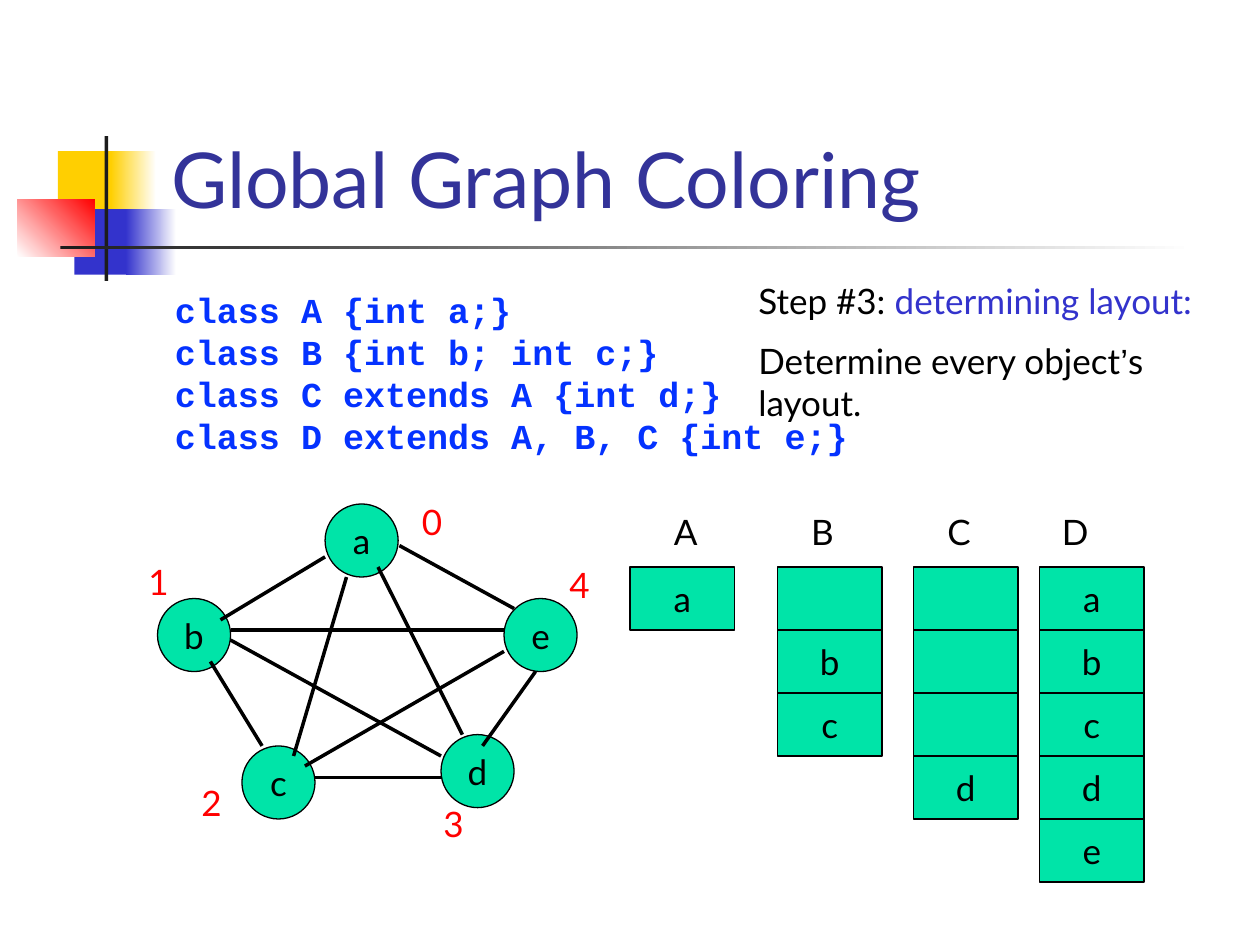
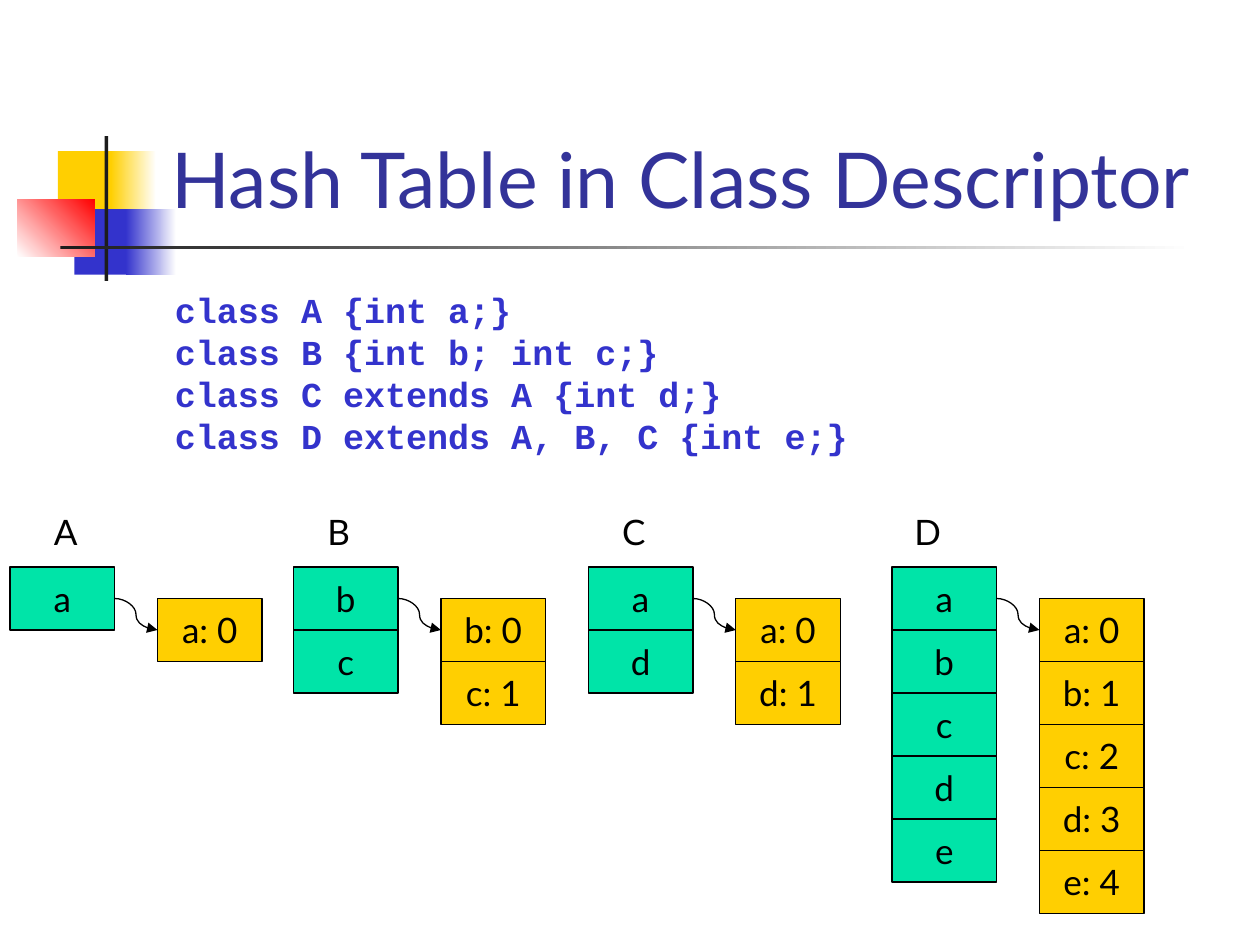
from lxml.etree import SubElement as sub
from pptx import Presentation
from pptx.dml.color import RGBColor as RGB
from pptx.enum.shapes import MSO_CONNECTOR as LINK, MSO_SHAPE as SHAPE
from pptx.enum.text import MSO_ANCHOR as ANCHOR, PP_ALIGN as ALIGN
from pptx.oxml.ns import qn
from pptx.util import Inches, Pt

BLACK = RGB(0, 0, 0)
WHITE = RGB(255, 255, 255)
DARK = RGB(0x1C, 0x1C, 0x1C)
RED = RGB(255, 0, 0)
GOLD = RGB(0xFF, 0xCF, 0x01)
GREEN = RGB(0x00, 0xE4, 0xA8)
BLUE = RGB(0x33, 0x33, 0xCC)
NAVY = RGB(0x33, 0x33, 0x99)
BRIGHT = RGB(0x04, 0x32, 0xFF)

FONT, MONO = "Lato", "Courier New"
CELL_W, CELL_H = 0.83, 0.5
NODE = 0.58
CODE = """class A {int a;}
class B {int b; int c;}
class C extends A {int d;}
class D extends A, B, C {int e;}"""


# Basic parts
def style(run, color=BLACK, size=20, font=FONT, bold=False):
    run.font.name = font
    run.font.size = Pt(size)
    run.font.bold = bold
    run.font.color.rgb = color


def add_text(slide, box, text, **look):
    frame = slide.shapes.add_textbox(*map(Inches, box)).text_frame
    frame.word_wrap = True
    frame.text = text
    for par in frame.paragraphs:
        for run in par.runs:
            style(run, **look)
    return frame


def add_shape(slide, kind, box, fill, text="", line=True):
    shape = slide.shapes.add_shape(kind, *map(Inches, box))
    shape.shadow.inherit = False
    shape.fill.solid()
    shape.fill.fore_color.rgb = fill
    if line:
        shape.line.color.rgb = BLACK
        shape.line.width = Pt(0.75)
    else:
        shape.line.fill.background()
    if text:
        frame = shape.text_frame
        frame.word_wrap = False
        frame.vertical_anchor = ANCHOR.MIDDLE
        frame.text = text
        frame.paragraphs[0].alignment = ALIGN.CENTER
        style(frame.paragraphs[0].runs[0])
    return shape


def add_line(slide, start, end, width, kind=LINK.STRAIGHT, arrow=False):
    line = slide.shapes.add_connector(kind, *map(Inches, start + end))
    line.line.color.rgb = BLACK
    line.line.width = Pt(width)
    if arrow:
        sub(line.line._get_or_add_ln(), qn("a:tailEnd"), type="triangle")
    sub(line._element.spPr, qn("a:effectLst"))


# Shared frame of both slides
def add_decor(slide):
    # box, first colour, last colour, angle
    bands = [
        ((0.46, 1.2, 0.48, 0.52), GOLD, None, 0),
        ((0.88, 1.2, 0.36, 0.52), GOLD, WHITE, 0),
        ((0.59, 1.66, 0.46, 0.52), BLUE, None, 0),
        ((1, 1.66, 0.4, 0.52), BLUE, WHITE, 0),
        ((0.14, 1.58, 0.61, 0.46), WHITE, RED, 45),
        ((0.83, 1.08, 0.03, 1.15), DARK, None, 0),
        ((0.48, 1.95, 9, 0.03), DARK, WHITE, 0),
    ]
    for box, first, last, angle in bands:
        band = add_shape(slide, SHAPE.RECTANGLE, box, first, line=False)
        if last is not None:
            band.fill.gradient()
            band.fill.gradient_angle = angle
            for stop, color in zip(band.fill.gradient_stops, (first, last)):
                stop.color.rgb = color


def add_page(deck, title, color):
    slide = deck.slides.add_slide(deck.slide_layouts[6])
    add_decor(slide)
    head = add_text(slide, (1.26, 0.23, 8.52, 1.6), title, color=NAVY, size=44)
    head.vertical_anchor = ANCHOR.BOTTOM
    code = add_text(slide, (1.29, 2.21, 8.5, 1.71), CODE,
                    color=color, font=MONO, bold=True)
    code.margin_top = Inches(0.08)
    for par in code.paragraphs:
        par.line_spacing = Pt(24)
    return slide


# Regions
def add_stack(slide, x, y, cells, fill):
    for row, text in enumerate(cells):
        box = (x, y + row * CELL_H, CELL_W, CELL_H)
        add_shape(slide, SHAPE.RECTANGLE, box, fill, text)


def add_class(slide, x, y, name, shift, cells):
    add_text(slide, (x + shift, y, 0.5, 0.43), name)
    add_stack(slide, x, y + 0.5, cells, GREEN)


def add_table(slide, x, y, cells):
    """Hash table to the right of the class whose corner is at x, y."""
    left, top = x + 1.17, y + 0.75
    add_stack(slide, left, top,
              [f"{name}: {i}" for i, name in enumerate(cells)], GOLD)
    add_line(slide, (x + CELL_W, top), (left, top + CELL_H / 2), 0.75,
             LINK.CURVE, arrow=True)


def add_step(slide, box):
    frame = add_text(slide, box, "Step #3: ")
    run = frame.paragraphs[0].add_run()
    run.text = "determining layout:"
    style(run, BLUE)
    par = frame.add_paragraph()
    par.space_before = Pt(10)
    for text, font in (("Determine every object", FONT), ("’", "Arial"),
                       ("s layout.", FONT)):
        run = par.add_run()
        run.text = text
        style(run, font=font)


def add_graph(slide, x, y):
    # name, node corner, colour number, number corner
    nodes = [
        ("a", (1.5, 0.08), "0", (2.17, 0)),
        ("b", (0.17, 0.83), "1", (0, 0.48)),
        ("c", (0.84, 2), "2", (0.42, 2.23)),
        ("d", (2.42, 1.91), "3", (2.34, 2.4)),
        ("e", (2.92, 0.83), "4", (3.34, 0.5)),
    ]
    edges = [
        ((0.59, 1.33), (1, 2)), ((1.92, 0.58), (2.59, 1.91)),
        ((1.5, 0.5), (0.67, 1)), ((1.67, 0.66), (1.25, 2.08)),
        ((0.75, 1.16), (2.42, 2.08)), ((1.42, 2.25), (2.42, 2.25)),
        ((2.09, 0.41), (3, 0.91)), ((0.75, 1.08), (2.92, 1.08)),
        ((1.34, 2.16), (2.92, 1.25)), ((3.17, 1.41), (2.75, 2)),
    ]
    for name, (dx, dy), num, (nx, ny) in nodes:
        add_shape(slide, SHAPE.OVAL, (x + dx, y + dy, NODE, NODE), GREEN, name)
        add_text(slide, (x + nx, y + ny, 0.5, 0.43), num, color=RED)
    for (ax, ay), (bx, by) in edges:
        add_line(slide, (x + ax, y + ay), (x + bx, y + by), 2)


# Slides
def add_coloring(deck):
    slide = add_page(deck, "Global Graph Coloring", BRIGHT)
    add_step(slide, (5.92, 2.17, 3.75, 1.27))
    add_graph(slide, 1.08, 3.92)
    gap = ""
    for x, name, shift, cells in (
        (5, "A", 0.25, "a"),
        (6.17, "B", 0.17, [gap, "b", "c"]),
        (7.25, "C", 0.17, [gap, gap, gap, "d"]),
        (8.25, "D", 0.08, "abcde"),
    ):
        add_class(slide, x, 4, name, shift, cells)


def add_hash(deck):
    slide = add_page(deck, "Hash Table in Class Descriptor", BLUE)
    for x, name, shift, cells in (
        (0.08, "A", 0.25, "a"),
        (2.33, "B", 0.17, "bc"),
        (4.67, "C", 0.17, "ad"),
        (7.08, "D", 0.08, "abcde"),
    ):
        add_class(slide, x, 4, name, shift, cells)
        add_table(slide, x, 4, cells)


def main():
    deck = Presentation()
    deck.slide_width, deck.slide_height = Inches(10), Inches(7.5)
    add_coloring(deck)
    add_hash(deck)
    deck.save("out.pptx")


if __name__ == "__main__":
    main()
